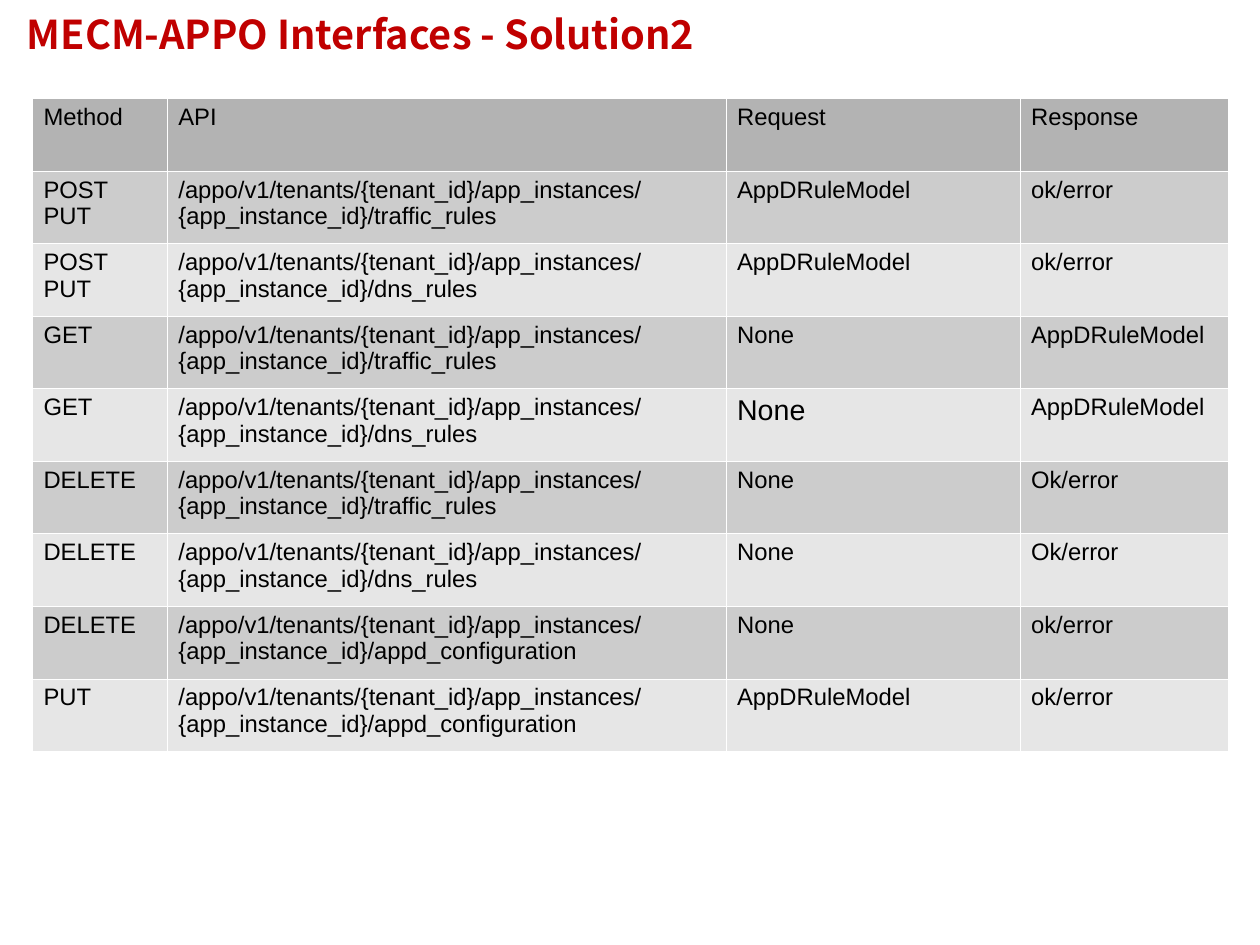
from lxml.etree import SubElement
from pptx import Presentation
from pptx.dml.color import RGBColor
from pptx.enum.text import MSO_ANCHOR, MSO_AUTO_SIZE, PP_ALIGN
from pptx.oxml.ns import qn
from pptx.util import Pt


def color(hex_value):
    return RGBColor.from_string(hex_value)


def write(frame, text, size=15, font="Arial", fill="000000", bold=False, spacing=None):
    frame.text = text
    for paragraph in frame.paragraphs:
        paragraph.alignment = PP_ALIGN.LEFT
        if spacing:
            paragraph.line_spacing = Pt(spacing)
        for run in paragraph.runs:
            run.font.size = Pt(size)
            run.font.name = font
            run.font.bold = bold
            run.font.color.rgb = color(fill)
            SubElement(run.font._element, qn("a:ea"), typeface=font)


prs = Presentation()
prs.slide_width, prs.slide_height = Pt(793.75), Pt(595.25)
slide = prs.slides.add_slide(prs.slide_layouts[5])

# Title
title = slide.shapes.title
title.left, title.top, title.width, title.height = Pt(17), Pt(11.5), Pt(516), Pt(37.4)
heading = title.text_frame
heading.margin_left = heading.margin_top = heading.margin_right = heading.margin_bottom = 0
heading.vertical_anchor = MSO_ANCHOR.MIDDLE
heading.auto_size = MSO_AUTO_SIZE.NONE
write(heading, "MECM-APPO Interfaces - Solution2", size=25, font="Noto Sans CJK SC",
      fill="C00000", bold=True, spacing=12.1)

# Interface list: method, rule resource, request, response
base = "/appo/v1/tenants/{tenant_id}/app_instances/{app_instance_id}/"
interfaces = [
    ("POST\nPUT", "traffic_rules", "AppDRuleModel", "ok/error"),
    ("POST\nPUT", "dns_rules", "AppDRuleModel", "ok/error"),
    ("GET", "traffic_rules", "None", "AppDRuleModel"),
    ("GET", "dns_rules", "None", "AppDRuleModel"),
    ("DELETE", "traffic_rules", "None", "Ok/error"),
    ("DELETE", "dns_rules", "None", "Ok/error"),
    ("DELETE", "appd_configuration", "None", "ok/error"),
    ("PUT", "appd_configuration", "AppDRuleModel", "ok/error"),
]
rows = [("Method", "API", "Request", "Response")]
rows += [(method, base + resource, request, response)
         for method, resource, request, response in interfaces]

# Table grid
column_widths = [85, 352, 185.2, 131.6]
row_height = 45.7
table = slide.shapes.add_table(
    len(rows), len(column_widths), Pt(20.2), Pt(61.9),
    Pt(sum(column_widths)), Pt(row_height * len(rows))).table
table.first_row = table.horz_banding = False
for column, width in zip(table.columns, column_widths):
    column.width = Pt(width)

# Cells with white hairlines and alternating greys
larger_request = (4, 2)
for r, row in enumerate(rows):
    table.rows[r].height = Pt(row_height)
    shade = "B3B3B3" if r == 0 else ("E6E6E6", "CCCCCC")[r % 2]
    for c, text in enumerate(row):
        cell = table.cell(r, c)
        write(cell.text_frame, text, size=18 if (r, c) == larger_request else 15)
        cell.margin_left = cell.margin_right = Pt(7.2)
        cell.margin_top = cell.margin_bottom = Pt(3.6)
        cell.vertical_anchor = MSO_ANCHOR.TOP
        properties = cell._tc.get_or_add_tcPr()
        for side in ("a:lnL", "a:lnR", "a:lnT", "a:lnB"):
            border = SubElement(properties, qn(side), w=str(Pt(0.06)))
            SubElement(SubElement(border, qn("a:solidFill")), qn("a:srgbClr"), val="FFFFFF")
        cell.fill.solid()
        cell.fill.fore_color.rgb = color(shade)

prs.save("out.pptx")
